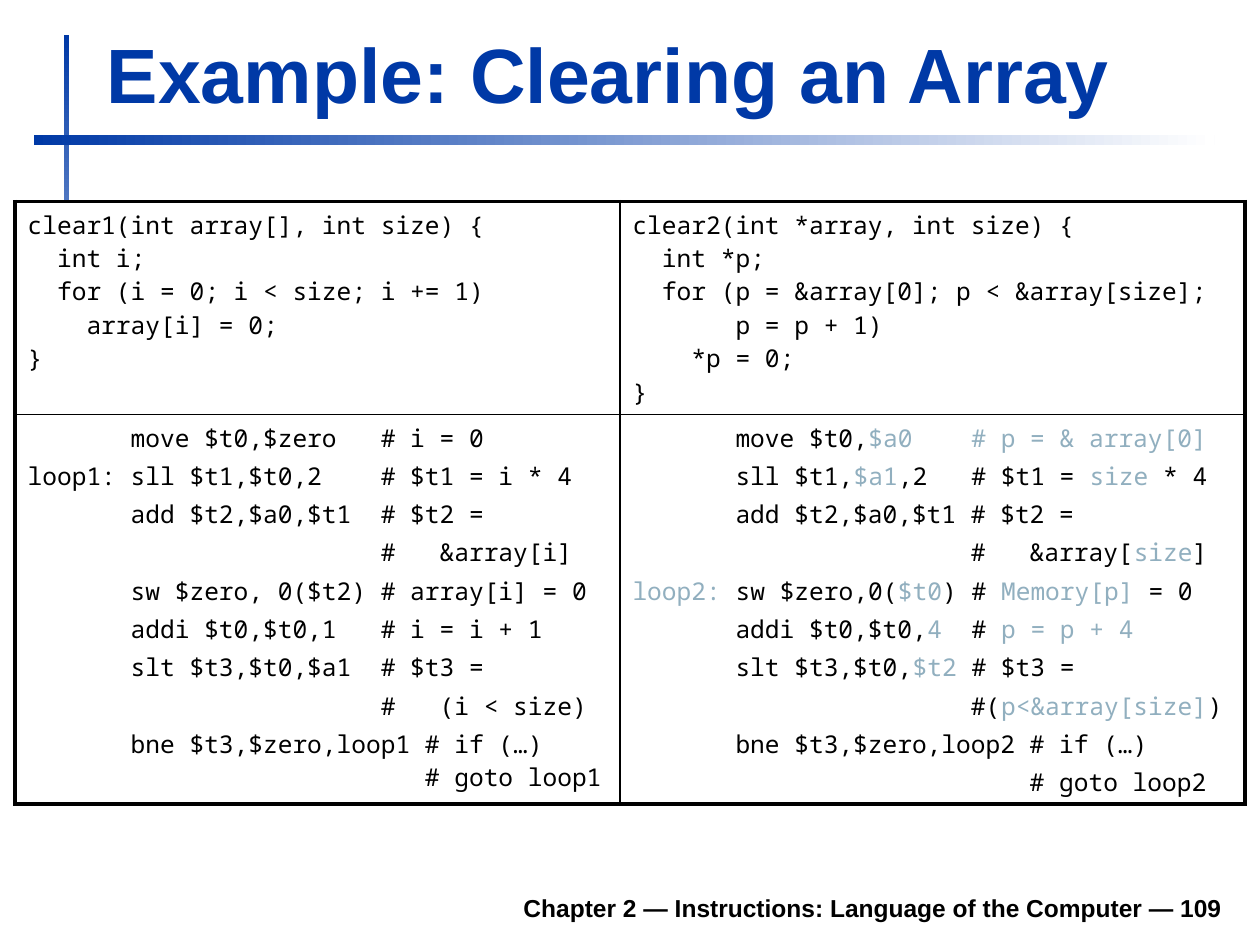
from lxml.etree import SubElement
from pptx import Presentation
from pptx.dml.color import RGBColor
from pptx.enum.shapes import MSO_SHAPE
from pptx.enum.text import MSO_ANCHOR, PP_ALIGN
from pptx.oxml.ns import qn
from pptx.util import Inches, Pt

COLORS = {"blue": "0039A6", "white": "FFFFFF", "black": "000000", "muted": "91AFBF"}
CODE_FONT = "Noto Sans Mono"
CODE_SIZE = 14
MARK = "~"

C_ARRAY = """clear1(int array[], int size) {
  int i;
  for (i = 0; i < size; i += 1)
    array[i] = 0;
}"""

C_POINTER = """clear2(int *array, int size) {
  int *p;
  for (p = &array[0]; p < &array[size];
       p = p + 1)
    *p = 0;
}"""

MIPS_ARRAY = """       move $t0,$zero   # i = 0
loop1: sll $t1,$t0,2    # $t1 = i * 4
       add $t2,$a0,$t1  # $t2 =
                        #   &array[i]
       sw $zero, 0($t2) # array[i] = 0
       addi $t0,$t0,1   # i = i + 1
       slt $t3,$t0,$a1  # $t3 =
                        #   (i < size)
       bne $t3,$zero,loop1 # if (…)\v                           # goto loop1"""

MIPS_POINTER = """       move $t0,~$a0    # p = & array[0]~
       sll $t1,~$a1~,2   # $t1 = ~size~ * 4
       add $t2,$a0,$t1 # $t2 =
                       #   &array[~size~]
~loop2:~ sw $zero,0(~$t0~) # ~Memory[p]~ = 0
       addi $t0,$t0,~4~  # ~p = p + 4~
       slt $t3,$t0,~$t2~ # $t3 =
                       #(~p<&array[size]~)
       bne $t3,$zero,loop2 # if (…)
                           # goto loop2"""

LISTINGS = [[C_ARRAY, C_POINTER], [MIPS_ARRAY, MIPS_POINTER]]
ROW_GAPS = [0, 0.2 * CODE_SIZE]


def rgb(name):
    """Return the named colour."""
    return RGBColor.from_string(COLORS[name])


def style(span, font, size, color, bold=False):
    """Format one run of text."""
    span.font.name = font
    span.font.size = Pt(size)
    span.font.bold = bold
    span.font.color.rgb = rgb(color)


def add_bar(page, left, top, width, height, angle):
    """Draw a bar that fades from blue to white."""
    bar = page.shapes.add_shape(MSO_SHAPE.RECTANGLE, left, top, width, height)
    bar.shadow.inherit = False
    bar.line.fill.background()
    bar.fill.gradient()
    bar.fill.gradient_angle = angle
    for stop, position, color in zip(bar.fill.gradient_stops, (0, 1), ("blue", "white")):
        stop.position = position
        stop.color.rgb = rgb(color)


def add_label(page, left, top, width, height, text, size, color, align):
    """Place one bold line at the bottom of its box."""
    box = page.shapes.add_textbox(left, top, width, height)
    frame = box.text_frame
    frame.word_wrap = True
    frame.vertical_anchor = MSO_ANCHOR.BOTTOM
    frame.text = text
    para = frame.paragraphs[0]
    para.alignment = align
    style(para.runs[0], "Arial", size, color, bold=True)


def add_header(page, left, top):
    """Draw the crossed bars and the slide title."""
    add_bar(page, left + Inches(0.24), top, Inches(0.04), Inches(4.17), 270)
    add_bar(page, left, top + Inches(0.79), Inches(9.37), Inches(0.08), 0)
    add_label(page, left + Inches(0.48), top - Inches(0.12), Inches(9.03), Inches(0.83),
              "Example: Clearing an Array", 44, "blue", PP_ALIGN.LEFT)


def set_borders(cell, widths):
    """Give a cell black borders, with widths keyed by side."""
    properties = cell._tc.get_or_add_tcPr()
    for side, width in widths.items():
        line = SubElement(properties, qn(f"a:ln{side}"), w=str(Pt(width)))
        SubElement(SubElement(line, qn("a:solidFill")), qn("a:srgbClr"), val=COLORS["black"])


def fill_code(cell, listing, gap):
    """Write a listing into a cell, muting the spans between marks."""
    frame = cell.text_frame
    for index, code in enumerate(listing.split("\n")):
        para = frame.add_paragraph() if index else frame.paragraphs[0]
        para.space_before = Pt(gap if index else 0)
        for order, part in enumerate(code.split(MARK)):
            for piece, text in enumerate(part.split("\v")):
                if piece:
                    para.add_line_break()
                    SubElement(para._p[-1], qn("a:rPr"), sz=str(CODE_SIZE * 100))
                if text:
                    span = para.add_run()
                    span.text = text
                    style(span, CODE_FONT, CODE_SIZE, "muted" if order % 2 else "black")


def add_code_table(page, left, top, columns, rows):
    """Set the C and MIPS listings side by side."""
    table = page.shapes.add_table(len(rows), len(columns), left, top, sum(columns), sum(rows)).table
    table.first_row = table.horz_banding = False
    for column, width in zip(table.columns, columns):
        column.width = width
    for row, height in zip(table.rows, rows):
        row.height = height
    outer, inner = 2.25, 1
    for r, listings in enumerate(LISTINGS):
        for c, listing in enumerate(listings):
            cell = table.cell(r, c)
            set_borders(cell, {
                "L": inner if c else outer,
                "R": outer if c else inner,
                "T": inner if r else outer,
                "B": outer if r else inner,
            })
            cell.fill.solid()
            cell.fill.fore_color.rgb = rgb("white")
            fill_code(cell, listing, ROW_GAPS[r])


def main():
    """Build and save the slide."""
    deck = Presentation()
    deck.slide_width, deck.slide_height = Inches(10), Inches(7.5)
    page = deck.slides.add_slide(deck.slide_layouts[6])
    add_header(page, Inches(0.27), Inches(0.28))
    add_label(page, Inches(1.85), Inches(6.98), Inches(7.95), Inches(0.39),
              "Chapter 2 — Instructions: Language of the Computer — 109",
              14, "black", PP_ALIGN.RIGHT)
    add_code_table(page, Inches(0.12), Inches(1.6),
                   [Inches(4.8), Inches(4.96)], [Inches(1.69), Inches(3.09)])
    deck.save("out.pptx")


if __name__ == "__main__":
    main()
